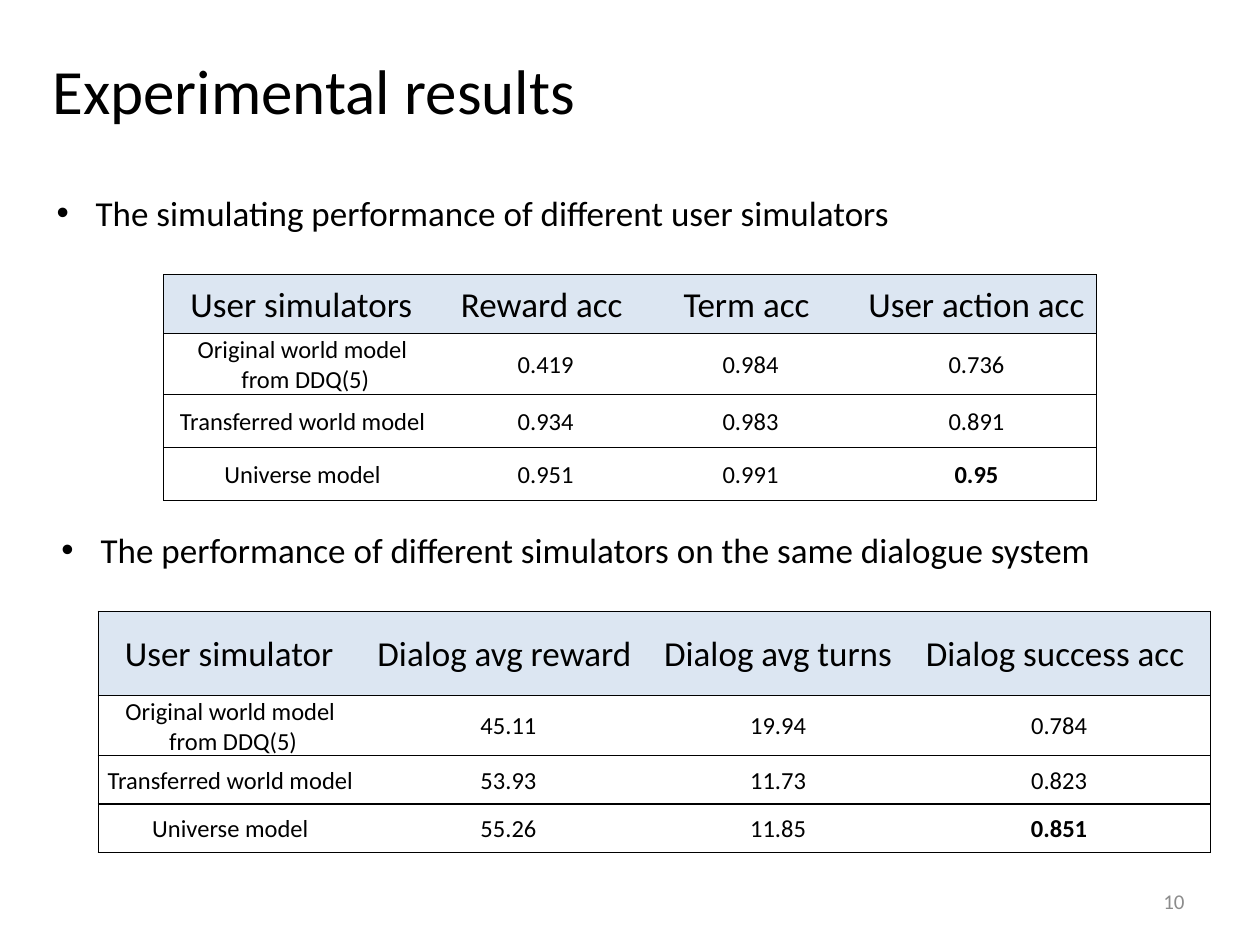
from lxml.etree import SubElement
from pptx import Presentation
from pptx.dml.color import RGBColor
from pptx.enum.text import MSO_ANCHOR, PP_ALIGN
from pptx.oxml.ns import qn
from pptx.util import Cm, Pt

COLORS = {"text": "000000", "header": "DCE6F2", "number": "8C8C8C", "line": "000000"}

deck = Presentation()
deck.slide_width, deck.slide_height = Cm(25.4), Cm(19.05)
page = deck.slides.add_slide(deck.slide_layouts[6])


def write_text(frame, text, size, color="text", align=PP_ALIGN.LEFT, bold=False):
    para = frame.paragraphs[0]
    para.text = text
    para.alignment = align
    for span in para.runs:
        for name, value in {"name": "Calibri", "size": Pt(size), "bold": bold}.items():
            setattr(span.font, name, value)
        span.font.color.rgb = RGBColor.from_string(COLORS[color])
    return para


def draw_borders(cell, sides):
    properties = cell._tc.get_or_add_tcPr()
    # Borders come before the fill, in the order left, right, top, bottom
    for index, side in enumerate(("lnL", "lnR", "lnT", "lnB")):
        line = SubElement(properties, qn(f"a:{side}"), w=str(Pt(0.75)))
        if side in sides:
            fill = SubElement(line, qn("a:solidFill"))
            SubElement(fill, qn("a:srgbClr"), val=COLORS["line"])
        else:
            SubElement(line, qn("a:noFill"))
        properties.insert(index, line)


# Title, bullet lines and page number: place, text, size, colour, alignment, anchor, bullet
texts = [
    ((0.81, 0.91, 12.29, 1.8), "Experimental results", 36, "text",
     PP_ALIGN.LEFT, MSO_ANCHOR.TOP, False),
    ((0.89, 3.73, 23.42, 1.12), "The simulating performance of different user simulators",
     20, "text", PP_ALIGN.LEFT, MSO_ANCHOR.TOP, True),
    ((0.99, 10.52, 23.42, 1.12),
     "The performance of different simulators on the same dialogue system",
     20, "text", PP_ALIGN.LEFT, MSO_ANCHOR.TOP, True),
    ((18.21, 17.65, 5.92, 1.02), "10", 12, "number",
     PP_ALIGN.RIGHT, MSO_ANCHOR.MIDDLE, False),
]
for place, text, size, color, align, anchor, bullet in texts:
    box = page.shapes.add_textbox(*map(Cm, place))
    box.text_frame.word_wrap = True
    box.text_frame.vertical_anchor = anchor
    para = write_text(box.text_frame, text, size, color, align)
    if bullet:
        properties = para._p.get_or_add_pPr()
        properties.set("marL", str(Cm(0.79)))
        properties.set("indent", str(-Cm(0.79)))
        SubElement(properties, qn("a:buFont"), typeface="Arial")
        SubElement(properties, qn("a:buChar"), char="•")

# Result tables: left, top, column widths, row heights, rows
tables = [
    (3.3, 5.54, (5.71, 3.98, 4.28, 4.83), (1.19, 1.22, 1.07, 1.07), [
        ("User simulators ", "Reward acc ", "Term acc ", "User action acc"),
        ("Original world model \nfrom DDQ(5)", "0.419", "0.984", "0.736"),
        ("Transferred world model ", "0.934", "0.983", "0.891"),
        ("Universe model ", "0.951", "0.991", "0.95"),
    ]),
    (1.98, 12.32, (5.44, 5.66, 5.21, 6.12), (1.7, 1.2, 0.97, 0.97), [
        ("User simulator ", "Dialog avg reward ", "Dialog avg turns", "Dialog success acc "),
        ("Original world model \nfrom DDQ(5)", "45.11", "19.94", "0.784"),
        ("Transferred world model ", "53.93", "11.73", "0.823"),
        ("Universe model ", "55.26", "11.85", "0.851"),
    ]),
]
cell_format = {"margin_left": Cm(0.03), "margin_right": Cm(0.03), "margin_top": Cm(0.03),
               "margin_bottom": Cm(0), "vertical_anchor": MSO_ANCHOR.MIDDLE}
for left, top, widths, heights, rows in tables:
    table = page.shapes.add_table(len(rows), len(widths), Cm(left), Cm(top),
                                  Cm(sum(widths)), Cm(sum(heights))).table
    table.horz_banding = False
    for column, width in zip(table.columns, widths):
        column.width = Cm(width)
    for row, height in zip(table.rows, heights):
        row.height = Cm(height)
    last_row, last_column = len(rows) - 1, len(widths) - 1
    for r, values in enumerate(rows):
        for c, value in enumerate(values):
            cell = table.cell(r, c)
            for name, setting in cell_format.items():
                setattr(cell, name, setting)
            if r == 0:
                cell.fill.solid()
                cell.fill.fore_color.rgb = RGBColor.from_string(COLORS["header"])
            else:
                cell.fill.background()
            best = (r, c) == (last_row, last_column)
            write_text(cell.text_frame, value, 20 if r == 0 else 14,
                       align=PP_ALIGN.CENTER, bold=best)
            outer = {0: ["lnL"], last_column: ["lnR"]}.get(c, [])
            draw_borders(cell, ["lnT", "lnB"] + outer)

deck.save("out.pptx")
